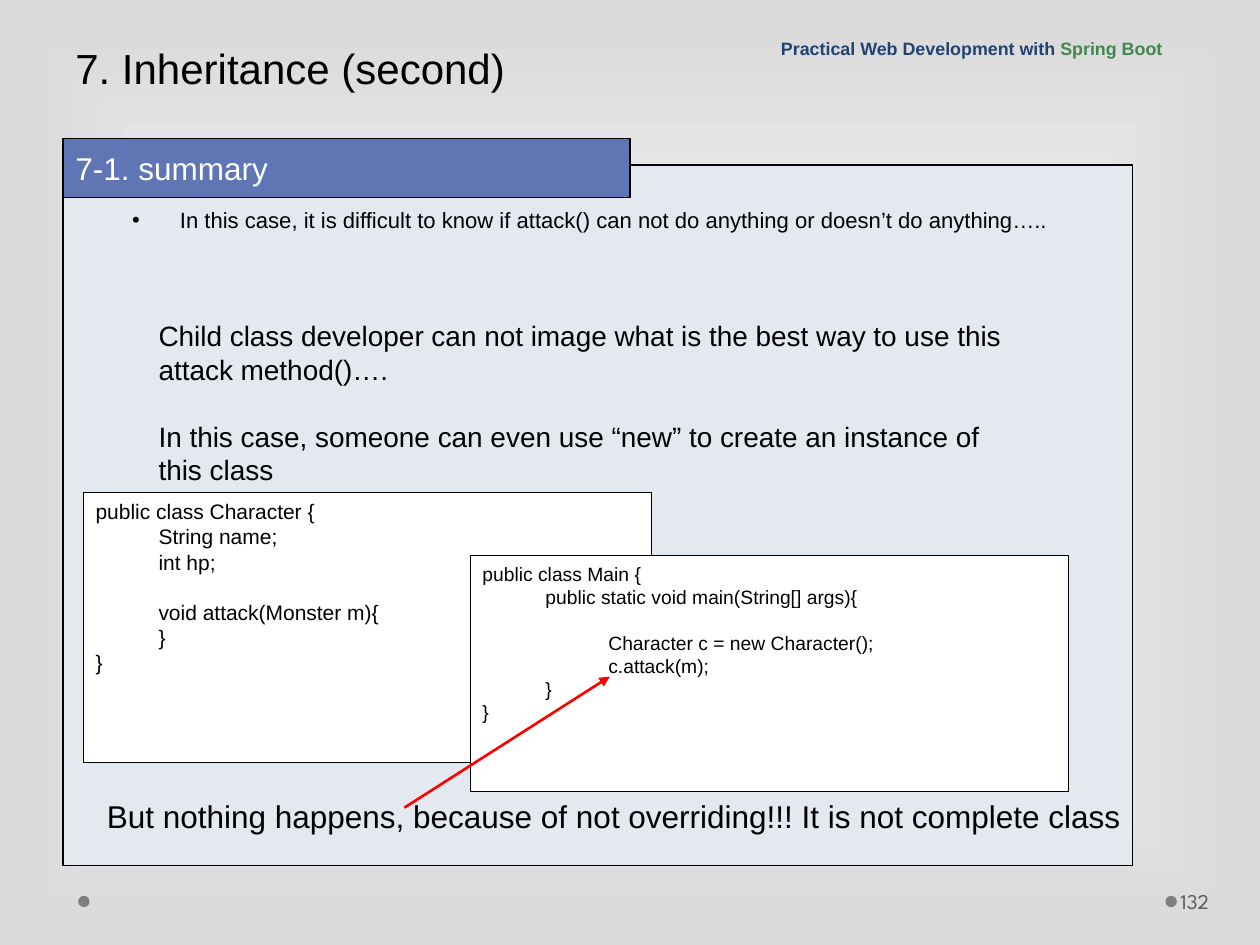
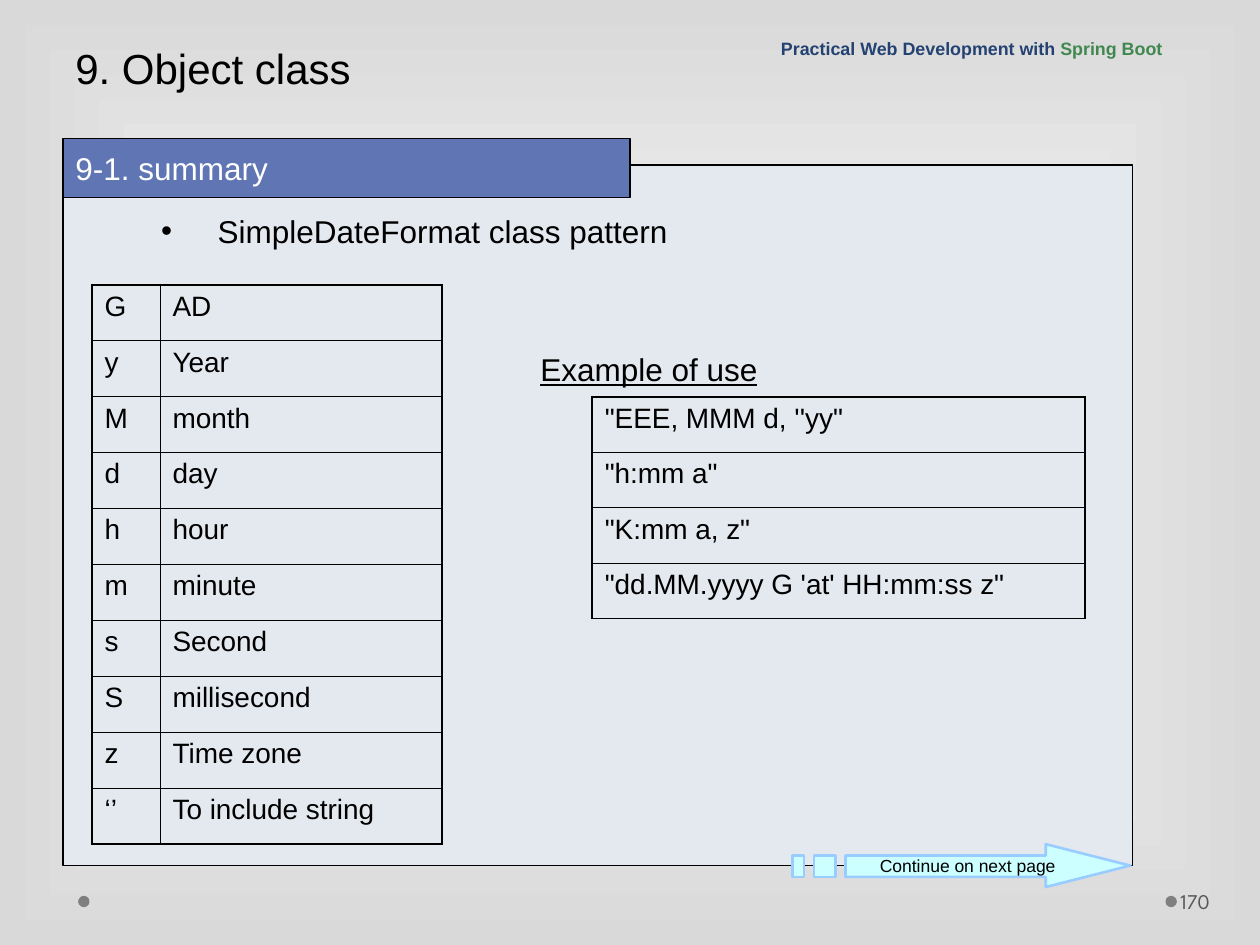
from collections import namedtuple

from pptx import Presentation
from pptx import util as u
from pptx.dml.color import RGBColor
from pptx.enum import shapes, text
from pptx.oxml.ns import qn
from pptx.oxml.xmlchemy import OxmlElement

# The slide is a grid of 100 columns by 75 rows of equal squares.
UNIT = u.Inches(0.1)
BLACK, WHITE, RED = "000000", "FFFFFF", "FF0000"
PANEL_FILL, TAB_FILL = "E4E9EF", "6076B4"
NAVY, GREEN = "234271", "40884F"
DOT_GREY, NUMBER_GREY, EDGE_GREY = "7F7F7F", "595959", "D9D9D9"
ARROW_FILL, ARROW_LINE = "CCFFFF", "99CCFF"
BODY_FONT, NUMBER_FONT = "Arial", "League Spartan"
TOP, MIDDLE, BOTTOM = (text.MSO_ANCHOR.TOP, text.MSO_ANCHOR.MIDDLE,
                       text.MSO_ANCHOR.BOTTOM)


class Box(namedtuple("Box", "col row cols rows")):
    def inside(self, col, row, cols, rows):
        return Box(self.col + col, self.row + row, cols, rows)

    def emu(self):
        return [grid(value) for value in self]


SLIDE = Box(0, 0, 100, 75)
PANEL = SLIDE.inside(5, 13.1, 84.9, 55.6)


def grid(value):
    return int(round(value * UNIT))


def rgb(color):
    return RGBColor.from_string(color)


def add_xml(parent, tag, **attributes):
    child = OxmlElement(tag)
    for key, value in attributes.items():
        child.set(key, str(value))
    parent.append(child)
    return child


def paint(shape, fill, line=None, width=0.75):
    shape.shadow.inherit = False
    shape.fill.solid()
    shape.fill.fore_color.rgb = rgb(fill)
    if line:
        shape.line.color.rgb = rgb(line)
        shape.line.width = u.Pt(width)
    else:
        shape.line.fill.background()


def set_font(font, size, color=BLACK, name=BODY_FONT):
    font.size, font.name = u.Pt(size), name
    font.color.rgb = rgb(color)


def write(frame, lines, size, color=BLACK, name=BODY_FONT, anchor=TOP,
          right_inset=0.1, align=text.PP_ALIGN.LEFT, tabs=()):
    """Fill a text frame with one paragraph for each line."""
    frame.word_wrap, frame.vertical_anchor = True, anchor
    frame.margin_right = u.Inches(right_inset)
    for index, line in enumerate(lines):
        paragraph = frame.paragraphs[0] if index == 0 else frame.add_paragraph()
        paragraph.text = line
        paragraph.alignment = align
        if tabs:
            stops = add_xml(paragraph._p.get_or_add_pPr(), "a:tabLst")
            for stop in tabs:
                add_xml(stops, "a:tab", pos=u.Inches(stop), algn="l")
        set_font(paragraph.font, size, color, name)
    return frame.paragraphs[0]


def add_text(slide, box, line, size, **style):
    frame = slide.shapes.add_textbox(*box.emu()).text_frame
    return write(frame, [line], size, **style)


def add_bullet(slide, box, line, size, indent, spacing=1.0):
    frame = slide.shapes.add_textbox(*box.emu()).text_frame
    properties = frame.paragraphs[0]._p.get_or_add_pPr()
    properties.set("marL", str(u.Inches(indent)))
    properties.set("indent", str(-u.Inches(indent)))
    add_xml(properties, "a:buFont", typeface=BODY_FONT)
    add_xml(properties, "a:buChar", char="•")
    write(frame, [line], size).line_spacing = spacing


def add_block(slide, box, fill, line=None, width=0.75,
              preset=shapes.MSO_SHAPE.RECTANGLE):
    block = slide.shapes.add_shape(preset, *box.emu())
    paint(block, fill, line, width)
    return block


def add_code(slide, box, lines, size):
    listing = add_block(slide, box, WHITE, BLACK, 0.25)
    write(listing.text_frame, lines, size, tabs=(0.5, 1, 1.5))


def add_red_arrow(slide, start, end):
    arrow = slide.shapes.add_connector(
        shapes.MSO_CONNECTOR.STRAIGHT, *map(grid, start + end))
    arrow.line.color.rgb = rgb(RED)
    arrow.line.width = u.Pt(1.5)
    add_xml(arrow.line._get_or_add_ln(), "a:tailEnd", type="triangle")
    add_xml(arrow._element.spPr, "a:effectLst")


def border_cell(cell, sides):
    properties = cell._tc.get_or_add_tcPr()
    for position, (side, outer) in enumerate(sides.items()):
        width = 1.08 if outer else 0.45
        edge = OxmlElement(f"a:ln{side}")
        edge.set("w", str(u.Pt(width)))
        add_xml(add_xml(edge, "a:solidFill"), "a:srgbClr", val=BLACK)
        properties.insert(position, edge)


def add_grid_table(slide, box, records, col_widths):
    """Draw a clear table with thick outer and thin inner borders."""
    last_row, last_col = len(records) - 1, len(col_widths) - 1
    table = slide.shapes.add_table(
        len(records), len(col_widths), *box.emu()).table
    table.first_row = table.horz_banding = False
    for column, width in zip(table.columns, col_widths):
        column.width = grid(width)
    for r, record in enumerate(records):
        table.rows[r].height = grid(box.rows / len(records))
        for c, value in enumerate(record):
            cell = table.cell(r, c)
            write(cell.text_frame, [value], 16)
            cell.fill.background()
            border_cell(cell, {"L": c == 0, "R": c == last_col,
                               "T": r == 0, "B": r == last_row})


def add_next_page_arrow(slide, box):
    """Draw an arrow whose tail breaks into two small blocks."""
    # Outline points are in tenths of a grid square.
    right, bottom = round(box.cols * 10), round(box.rows * 10)
    upper, lower, neck = 9, bottom - 8, 201
    outline = slide.shapes.build_freeform(neck, 0, scale=UNIT / 10)
    outline.add_line_segments([
        (neck, upper), (42, upper), (42, lower), (neck, lower),
        (neck, bottom), (right, bottom / 2)])
    for left, edge in ((17, 34), (0, 9)):
        outline.move_to(left, upper)
        outline.add_line_segments(
            [(left, lower), (edge, lower), (edge, upper)])
    arrow = outline.convert_to_shape(grid(box.col), grid(box.row))
    paint(arrow, ARROW_FILL, ARROW_LINE, 1.5)
    write(arrow.text_frame, ["Continue on next page"], 10, anchor=MIDDLE,
          right_inset=0, align=text.PP_ALIGN.CENTER)


def set_background(slide):
    fill = slide.background.fill
    fill.gradient()
    for stop, color in zip(fill.gradient_stops, (WHITE, EDGE_GREY)):
        stop.color.rgb = rgb(color)
    gradient = slide._element.find(".//" + qn("a:gradFill"))
    gradient.remove(gradient.find(qn("a:lin")))
    centre = add_xml(gradient, "a:path", path="rect")
    add_xml(centre, "a:fillToRect", l=50000, t=50000, r=50000, b=50000)


def add_footer(slide, box, number):
    for col in (92.5, 6.2):
        add_block(slide, box.inside(col, 1.6, 0.9, 0.9), DOT_GREY,
                  preset=shapes.MSO_SHAPE.OVAL)
    add_text(slide, box.inside(92.7, 0, 6.8, 4), number, 12,
             color=NUMBER_GREY, name=NUMBER_FONT, anchor=MIDDLE)


def add_course_name(slide, box):
    course = add_text(slide, box, "Practical Web Development with ", 10.2,
                      color=NAVY, anchor=BOTTOM)
    course.font.bold = True
    course.add_run().text = "Spring Boot"
    for run, color in zip(course.runs, (NAVY, GREEN)):
        run.font.color.rgb = rgb(color)


def start_slide(deck, title, section, number):
    slide = deck.slides.add_slide(deck.slide_layouts[6])
    set_background(slide)
    add_block(slide, PANEL, PANEL_FILL, BLACK)
    add_footer(slide, SLIDE.inside(0, 69.5, 100, 4), number)
    add_text(slide, SLIDE.inside(5, 0, 95, 7.9), title, 24, anchor=BOTTOM)
    tab = add_block(slide, PANEL.inside(0, -2.1, 45, 4.7), TAB_FILL, BLACK)
    write(tab.text_frame, [section], 18, color=WHITE, anchor=MIDDLE)
    add_course_name(slide, SLIDE.inside(61, 2.4, 39, 2.8))
    return slide


def inheritance_slide(deck, box):
    slide = start_slide(deck, "7. Inheritance (second)", "7-1. summary", "132")
    add_bullet(slide, box.inside(4.5, 3.2, 76.6, 4.7),
               "In this case, it is difficult to know if attack() can not do "
               "anything or doesn’t do anything…..", 12.6, 0.38, 0.8)
    remarks = (
        "Child class developer can not image what is the best way to use this "
        "attack method()….",
        "In this case, someone can even use “new” to create an instance of "
        "this class")
    for index, remark in enumerate(remarks):
        add_text(slide, box.inside(6.6, 11.7 + 8 * index, 69.1, 6.4),
                 remark, 16)
    add_code(slide, box.inside(1.6, 26, 45.1, 21.4), [
        "public class Character {",
        "\tString name;",
        "\tint hp;",
        "\t",
        "\tvoid attack(Monster m){",
        "\t}",
        "}"], 12)
    add_code(slide, box.inside(32.3, 31, 47.5, 18.7), [
        "public class Main {",
        "\tpublic static void main(String[] args){",
        "\t\t",
        "\t\tCharacter c = new Character();",
        "\t\tc.attack(m);",
        "\t}",
        "}"], 11)
    add_text(slide, box.inside(2.5, 49.7, 82.4, 4),
             "But nothing happens, because of not overriding!!! "
             "It is not complete class", 18, right_inset=0)
    add_red_arrow(slide, box.inside(27.1, 51, 0, 0)[:2],
                  box.inside(43.4, 40.6, 0, 0)[:2])


def object_class_slide(deck, box):
    slide = start_slide(deck, "9. Object class", "9-1. summary", "170")
    add_bullet(slide, box.inside(6.8, 3.2, 74.3, 4.4),
               "SimpleDateFormat class pattern", 18, 0.45)
    add_next_page_arrow(slide, box.inside(57.9, 53.9, 26.8, 3.4))
    patterns = [
        ("G", "AD"), ("y", "Year"), ("M", "month"), ("d", "day"),
        ("h", "hour"), ("m", "minute"), ("s", "Second"),
        ("S", "millisecond"), ("z", "Time zone"),
        ("‘’", "To include string")]
    add_grid_table(slide, box.inside(2.3, 9.5, 27.8, 44.4), patterns,
                   (5.4, 22.4))
    examples = [
        ("\"EEE, MMM d, ''yy\"",), ('"h:mm a"',), ('"K:mm a, z"',),
        ("\"dd.MM.yyyy G 'at' HH:mm:ss z\"",)]
    add_grid_table(slide, box.inside(42, 18.4, 39.1, 17.6), examples, (39.1,))
    heading = add_text(slide, box.inside(36.9, 14.2, 25.5, 4),
                       "Example of use", 18)
    heading.font.underline = True


def main():
    deck = Presentation()
    deck.slide_width, deck.slide_height = grid(SLIDE.cols), grid(SLIDE.rows)
    inheritance_slide(deck, PANEL)
    object_class_slide(deck, PANEL)
    deck.save("out.pptx")


if __name__ == "__main__":
    main()
